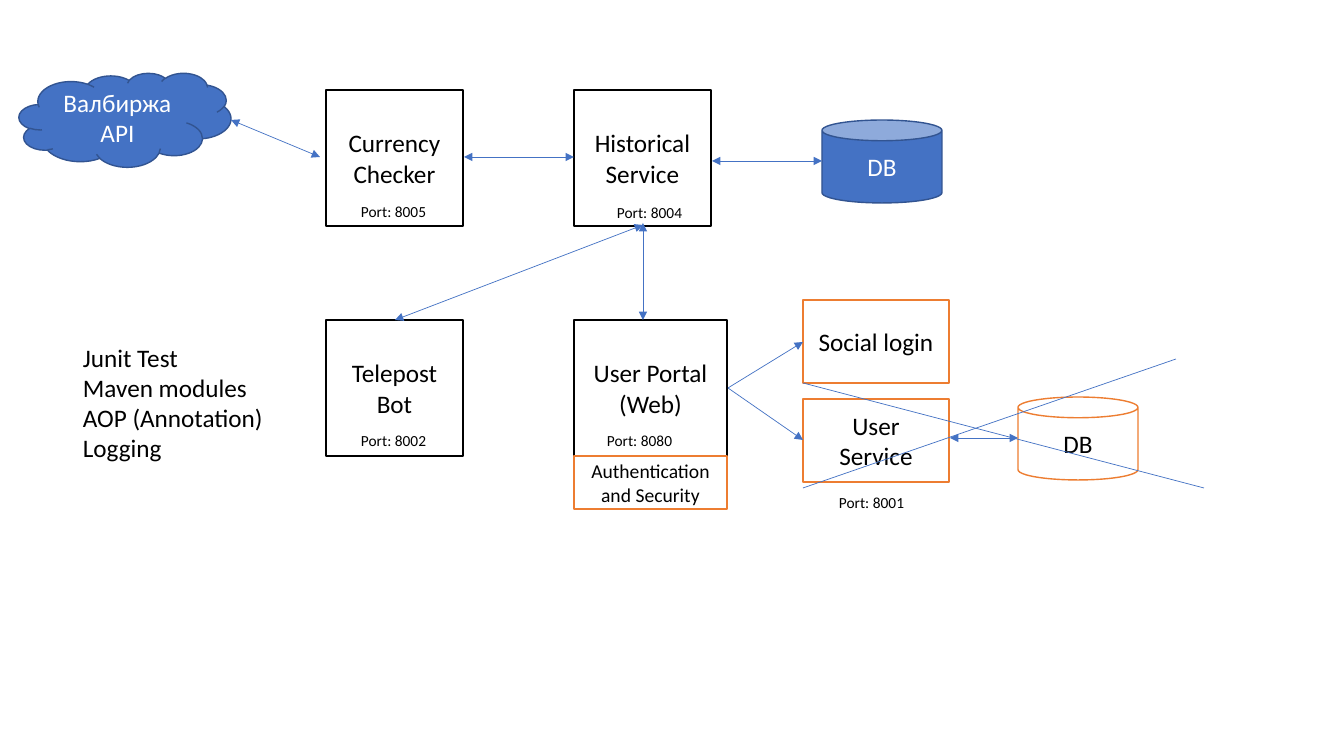
from pptx import Presentation
from pptx.dml.color import RGBColor
from pptx.enum.shapes import MSO_CONNECTOR, MSO_SHAPE
from pptx.enum.text import MSO_ANCHOR, MSO_AUTO_SIZE, PP_ALIGN
from pptx.oxml.ns import qn
from pptx.util import Pt
from lxml.etree import SubElement

BLACK = RGBColor(0x00, 0x00, 0x00)
WHITE = RGBColor(0xFF, 0xFF, 0xFF)
BLUE = RGBColor(0x44, 0x72, 0xC4)
NAVY = RGBColor(0x32, 0x54, 0x91)
ORANGE = RGBColor(0xED, 0x7D, 0x31)
FONT = "Calibri"
SCALE = 914400 / 100.8

RECT, CLOUD, CAN = MSO_SHAPE.RECTANGLE, MSO_SHAPE.CLOUD, MSO_SHAPE.CAN
CORE = (WHITE, BLACK, BLACK)
EXTERNAL = (BLUE, NAVY, WHITE)
ACCESS = (WHITE, ORANGE, BLACK)

LEFT, MIDDLE, RIGHT = 326, 574, 803
TOP, BOTTOM = 90, 320
SERVICE = (137, 136)
PORTAL_WIDTH = 153
LOGIN = (146, 83)
STORE = (120, 83)

NODES = [
    (RECT, (LEFT, TOP), SERVICE, CORE, 18, ["Currency Checker"]),
    (CLOUD, (19, 73), (212, 94), EXTERNAL, 18, ["Валбиржа API"]),
    (RECT, (MIDDLE, TOP), SERVICE, CORE, 18, ["Historical Service"]),
    (CAN, (822, 120), STORE, EXTERNAL, 18, ["DB"]),
    (RECT, (LEFT, BOTTOM), SERVICE, CORE, 18, ["Telepost Bot"]),
    (RECT, (MIDDLE, BOTTOM), (PORTAL_WIDTH, 136), CORE, 18, ["User Portal", "(Web)"]),
    (RECT, (RIGHT, 399), LOGIN, ACCESS, 18, ["User Service"]),
    (CAN, (1018, 397), STORE, ACCESS, 18, ["DB"]),
    (RECT, (MIDDLE, 456), (PORTAL_WIDTH, 53), ACCESS, 14, ["Authentication and Security"]),
    (RECT, (RIGHT, 300), LOGIN, ACCESS, 18, ["Social login"]),
]

NOTES = ["Junit Test", "Maven modules", "AOP (Annotation)", "Logging"]
PORTS = [(8002, 351, 426), (8001, 829, 488), (8004, 607, 198),
         (8005, 351, 197), (8080, 597, 426)]

BOTH, END, PLAIN = ("headEnd", "tailEnd"), ("tailEnd",), ()
LINKS = [
    ((231, 120), (320, 157), BOTH),
    ((464, 157), (574, 157), BOTH),
    ((712, 161), (822, 161), BOTH),
    ((395, 320), (643, 225), BOTH),
    ((643, 320), (643, 223), BOTH),
    ((950, 438), (1018, 438), BOTH),
    ((728, 388), (803, 342), END),
    ((728, 388), (803, 440), END),
    ((1176, 359), (803, 488), PLAIN),
    ((803, 383), (1204, 488), PLAIN),
]


def emu(*pixels):
    return [round(pixel * SCALE) for pixel in pixels]


def write(frame, lines, size, color, align):
    frame.word_wrap = True
    for index, line in enumerate(lines):
        para = frame.paragraphs[0] if index == 0 else frame.add_paragraph()
        para.alignment = align
        span = para.add_run()
        span.text = line
        span.font.name = FONT
        span.font.size = Pt(size)
        span.font.color.rgb = color


def add_node(page, kind, place, extent, colors, size, lines):
    fill, outline, ink = colors
    node = page.shapes.add_shape(kind, *emu(*place, *extent))
    node.shadow.inherit = False
    node.fill.solid()
    node.fill.fore_color.rgb = fill
    node.line.color.rgb = outline
    node.line.width = Pt(1)
    node.text_frame.vertical_anchor = MSO_ANCHOR.MIDDLE
    write(node.text_frame, lines, size, ink, PP_ALIGN.CENTER)


def add_label(page, lines, size, *frame):
    box = page.shapes.add_textbox(*emu(*frame))
    write(box.text_frame, lines, size, BLACK, PP_ALIGN.LEFT)
    box.text_frame.auto_size = MSO_AUTO_SIZE.SHAPE_TO_FIT_TEXT


def add_link(page, start, end, arrowheads):
    link = page.shapes.add_connector(MSO_CONNECTOR.STRAIGHT, *emu(*start, *end))
    link.line.color.rgb = BLUE
    link.line.width = Pt(0.5)
    properties = link._element.spPr
    outline = properties.find(qn("a:ln"))
    for arrowhead in arrowheads:
        SubElement(outline, qn("a:" + arrowhead), type="triangle")
    SubElement(properties, qn("a:effectLst"))


deck = Presentation()
deck.slide_width, deck.slide_height = emu(1344, 756)
page = deck.slides.add_slide(deck.slide_layouts[6])

for node in NODES:
    add_node(page, *node)
add_label(page, NOTES, 18, 73, 337, 203, 132)
for port, left, top in PORTS:
    add_label(page, [f"Port: {port}"], 11, left, top, 121, 29)
for link in LINKS:
    add_link(page, *link)

deck.save("out.pptx")
